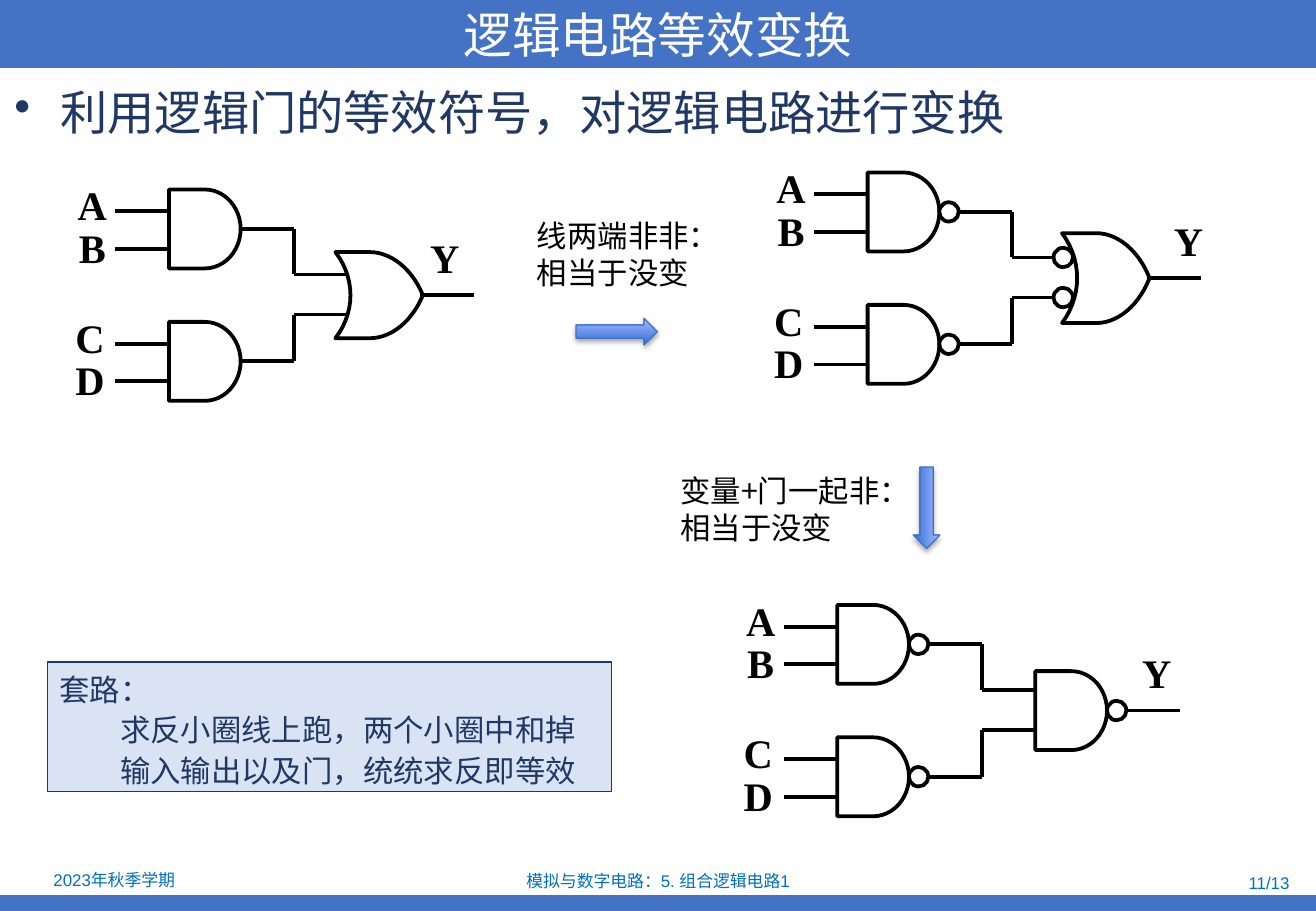
from lxml import etree
from pptx import Presentation
from pptx.dml.color import RGBColor
from pptx.enum.shapes import MSO_CONNECTOR, MSO_SHAPE as SHAPE
from pptx.enum.text import MSO_ANCHOR as ANCHOR, MSO_AUTO_SIZE, PP_ALIGN as ALIGN
from pptx.oxml import parse_xml
from pptx.oxml.ns import nsdecls, qn
from pptx.util import Inches, Pt

W, H = 10.83, 7.5
BLUE = RGBColor(0x44, 0x72, 0xC4)
NAVY = RGBColor(0x20, 0x38, 0x64)
PALE = RGBColor(0xDA, 0xE3, 0xF3)
FOOT = RGBColor(0x00, 0x70, 0xC0)
BLACK = RGBColor(0, 0, 0)
WHITE = RGBColor(0xFF, 0xFF, 0xFF)
ARROW_DARK = RGBColor(0x31, 0x6D, 0xD7)
ARROW_LIGHT = RGBColor(0xA6, 0xBB, 0xFF)
ARROW_EDGE = RGBColor(0x3F, 0x6F, 0xC3)
CJK, SANS, SERIF = "Noto Sans CJK SC", "Arial", "Times New Roman"

# Circuit grid, in inches from the top left corner of the upper gate
STEP = 0.44                     # length of every horizontal wire
GATE_W, GATE_H = 0.59, 0.65
GATE_PITCH = 1.09               # upper gate to lower gate
BUBBLE = 0.16
PINS = (0.18, 0.49)             # input wires below a gate's top
MERGE = (0.7, 1.03)             # the two inputs of the last gate
OUT_Y = 0.87                    # the output wire
LABEL_W, LABEL_H = 0.3, 0.36


def box(x, y, w, h):
    return Inches(x), Inches(y), Inches(w), Inches(h)


def write(tf, lines, size, font=SANS, color=BLACK, bold=False, align=ALIGN.LEFT,
          anchor=ANCHOR.TOP, inset=None, spacing=None, indents=None, bullet=None):
    """Fill a text frame with one paragraph per line."""
    tf.word_wrap, tf.auto_size, tf.vertical_anchor = True, MSO_AUTO_SIZE.NONE, anchor
    if inset is not None:
        tf.margin_left = tf.margin_right = tf.margin_top = tf.margin_bottom = Inches(inset)
    for i, line in enumerate(lines):
        p = tf.paragraphs[0] if i == 0 else tf.add_paragraph()
        p.alignment, p.line_spacing = align, spacing
        p.space_before = Pt(0)
        pPr = p._p.get_or_add_pPr()
        if indents:
            pPr.set("marL", str(Inches(indents[i])))
        if bullet:
            pPr.set("indent", str(-Inches(indents[i])))
            etree.SubElement(pPr, qn("a:buChar")).set("char", bullet)
        r = p.add_run()
        r.text = line
        f = r.font
        f.name, f.size, f.bold = font, Pt(size), bold
        f.color.rgb = color
        etree.SubElement(r._r.get_or_add_rPr(), qn("a:ea")).set("typeface", CJK)


def text(shapes, at, lines, size, **fmt):
    write(shapes.add_textbox(*box(*at)).text_frame, lines, size, **fmt)


def shape(shapes, kind, at, fill=None, line=None, width=0.75):
    sp = shapes.add_shape(kind, *box(*at))
    return paint(sp, fill, line, width)


def paint(sp, fill, line, width):
    sp.shadow.inherit = False
    if fill is None:
        sp.fill.background()
    else:
        sp.fill.solid()
        sp.fill.fore_color.rgb = fill
    if line is None:
        sp.line.fill.background()
    else:
        sp.line.color.rgb, sp.line.width = line, Pt(width)
    return sp


def wire(shapes, x1, y1, x2, y2):
    c = shapes.add_connector(MSO_CONNECTOR.STRAIGHT, *box(x1, y1, x2, y2))
    c.line.color.rgb, c.line.width = BLACK, Pt(2.25)
    etree.SubElement(c._element.spPr, qn("a:effectLst"))
    return c


def bubble(shapes, x, mid_y):
    shape(shapes, SHAPE.OVAL, (x, mid_y - BUBBLE / 2, BUBBLE, BUBBLE), WHITE, BLACK, 2.25)


def and_gate(shapes, x, y, inverted):
    """Draw the gate and its output wire; return the wire's right end."""
    gate = shape(shapes, SHAPE.FLOWCHART_DELAY, (x, y, GATE_W, GATE_H), None, BLACK, 2.25)
    start, mid = x + GATE_W, y + GATE_H / 2
    if inverted:
        bubble(shapes, start, mid)
        start += BUBBLE
    out = wire(shapes, start, mid, start + STEP, mid)
    if not inverted:
        out.begin_connect(gate, 3)
    return start + STEP


def curve(a, b, c, d, n=14):
    """Points of a cubic curve after its start."""
    for i in range(1, n + 1):
        t = i / n
        s = 1 - t
        yield tuple(s**3 * a[k] + 3 * s * s * t * b[k] + 3 * s * t * t * c[k] + t**3 * d[k]
                    for k in (0, 1))


def or_gate(shapes, x, y, w, h):
    def at(u, v):
        return x + u * w, y + v * h
    start, tip = at(0, 0), at(1, 0.5)
    points = [at(0.39, 0)]
    points += curve(points[0], at(0.64, 0), at(0.88, 0.2), tip)
    points += curve(tip, at(0.88, 0.8), at(0.64, 1), at(0.39, 1))
    points.append(at(0, 1))
    points += curve(at(0, 1), at(0.23, 0.7), at(0.23, 0.3), start)
    fb = shapes.build_freeform(Inches(start[0]), Inches(start[1]))
    fb.add_line_segments([(Inches(u), Inches(v)) for u, v in points], close=True)
    paint(fb.convert_to_shape(), None, BLACK, 2.25)


def circuit(slide, x, y, inverted, last, y_label):
    """Two gates joined by a last one: 'or', 'or_inverted' or 'nand'."""
    shapes = slide.shapes.add_group_shape().shapes
    # First stage with its inputs and elbow wires
    for row, names in enumerate(("AB", "CD")):
        top = y + row * GATE_PITCH
        elbow = and_gate(shapes, x, top, inverted)
        merge = y + MERGE[row]
        wire(shapes, elbow, top + GATE_H / 2, elbow, merge)
        wire(shapes, elbow, merge, elbow + STEP, merge)
        for i, name in enumerate(names):
            wire(shapes, x - STEP, top + PINS[i], x, top + PINS[i])
            label(shapes, name, x - 0.78 - 0.02 * row, top - 0.03 + i * 0.35)
    # Last gate and output
    end = elbow + STEP
    if last == "nand":
        and_gate(shapes, end, y + OUT_Y - GATE_H / 2, True)
    else:
        h = 0.74 if last == "or_inverted" else 0.71
        left = end - 0.1 if last == "or" else end - 0.03
        or_gate(shapes, left, y + OUT_Y - h / 2, 0.72, h)
        wire(shapes, left + 0.7, y + OUT_Y, left + 0.7 + STEP, y + OUT_Y)
        if last == "or_inverted":
            for merge in MERGE:
                bubble(shapes, end - 0.1, y + merge)
    label(shapes, "Y", x + y_label, y + 0.4)


def label(shapes, name, x, y):
    text(shapes, (x, y, LABEL_W, LABEL_H), [name], 24, font=SERIF, bold=True,
         align=ALIGN.CENTER, inset=0, spacing=0.9)


def block_arrow(slide, x, y, rotation=0):
    sp = shape(slide.shapes, SHAPE.RIGHT_ARROW, (x, y, 0.67, 0.22), BLUE, ARROW_EDGE)
    sp.rotation = rotation
    sp.fill.gradient()
    sp.fill.gradient_angle = 90
    for stop, color in zip(sp.fill.gradient_stops, (ARROW_DARK, ARROW_LIGHT)):
        stop.color.rgb = color
    for stop, position in zip(sp.fill.gradient_stops, (0, 1)):
        stop.position = position
    sp._element.spPr.find(qn("a:effectLst")).append(parse_xml(
        f'<a:outerShdw {nsdecls("a")} blurRad="{Pt(3.1)}" dist="{Pt(1.8)}" dir="5400000" '
        'rotWithShape="0"><a:srgbClr val="000000"><a:alpha val="35000"/></a:srgbClr>'
        '</a:outerShdw>'))


def header(slide):
    title = slide.shapes.title
    title.left, title.top, title.width, title.height = box(0, 0, W, 0.56)
    title.fill.solid()
    title.fill.fore_color.rgb = BLUE
    write(title.text_frame, ["逻辑电路等效变换"], 28.8, font=CJK, color=WHITE,
          align=ALIGN.CENTER, anchor=ANCHOR.MIDDLE)
    text(slide.shapes, (0.02, 0.64, W - 0.02, 0.65), ["利用逻辑门的等效符号，对逻辑电路进行变换"],
         28, color=NAVY, indents=[0.38], bullet="•")


def footer(slide):
    shape(slide.shapes, SHAPE.RECTANGLE, (0, H - 0.13, W, 0.13), BLUE)
    for x, y, w, line, align in ((0.02, 7.13, 1.84, "2023年秋季学期", ALIGN.CENTER),
                                 (3.7, 7.14, 3.43, "模拟与数字电路：5. 组合逻辑电路1", ALIGN.CENTER),
                                 (8.18, 7.16, 2.53, "11/13", ALIGN.RIGHT)):
        text(slide.shapes, (x, y, w, 0.22), [line], 10, color=FOOT, align=align,
             anchor=ANCHOR.MIDDLE)


def explanations(slide):
    for at, rule in (((3.82, 1.74, 3.34, 0.71), "线两端非非："),
                     ((5, 3.84, 2.52, 0.71), "变量+门一起非：")):
        text(slide.shapes, at, [rule, "相当于没变"], 18, font=CJK, indents=(0.5, 0.5))
    block_arrow(slide, 4.74, 2.62)
    block_arrow(slide, 7.29, 4.07, rotation=90)
    # Summary box
    sp = shape(slide.shapes, SHAPE.RECTANGLE, (0.39, 5.45, 4.64, 1.07), PALE, NAVY)
    write(sp.text_frame, ["套路：", "求反小圈线上跑，两个小圈中和掉", "输入输出以及门，统统求反即等效"],
          18, font=SERIF, color=NAVY, spacing=1.1, indents=(0, 0.5, 0.5))


def main():
    prs = Presentation()
    prs.slide_width, prs.slide_height = Inches(W), Inches(H)
    slide = prs.slides.add_slide(prs.slide_layouts[5])
    header(slide)
    footer(slide)
    circuit(slide, 1.39, 1.56, False, "or", 2.12)
    circuit(slide, 7.14, 1.42, True, "or_inverted", 2.49)
    circuit(slide, 6.89, 4.98, True, "nand", 2.48)
    explanations(slide)
    prs.save("out.pptx")


if __name__ == "__main__":
    main()
